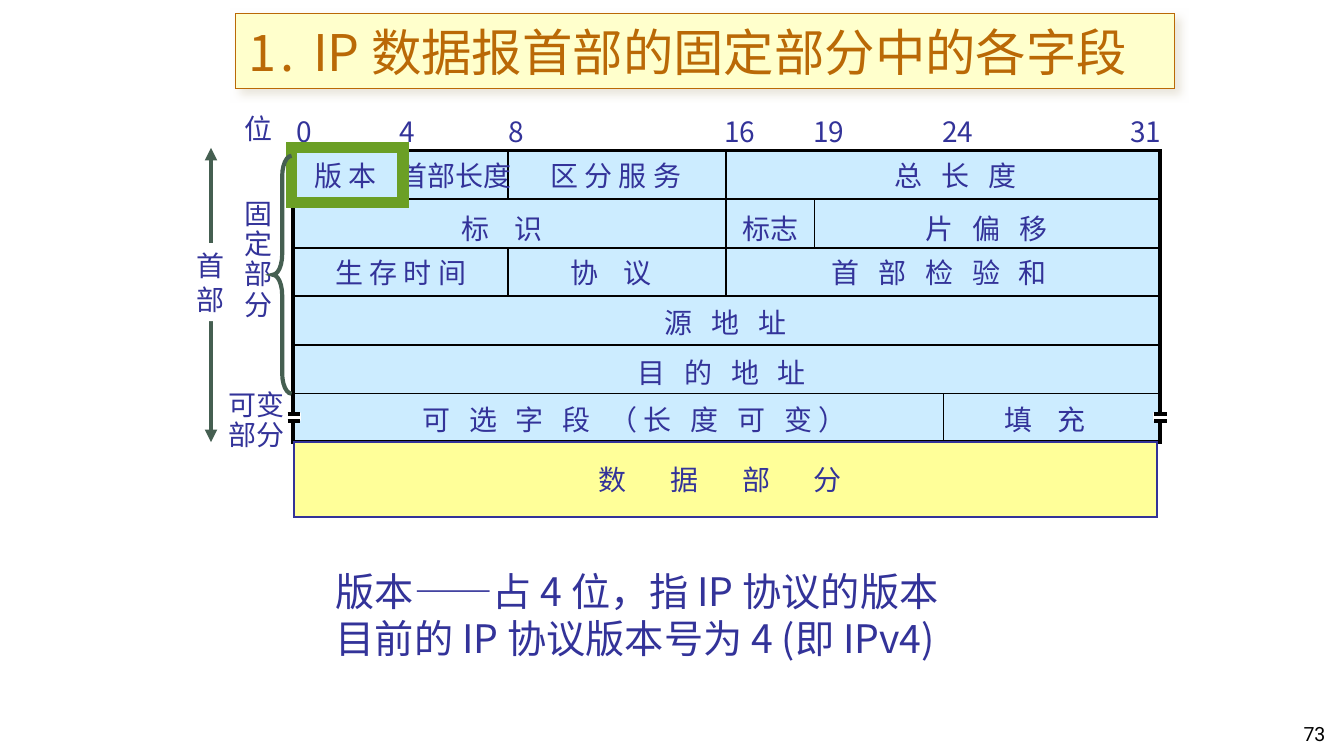
from pptx import Presentation
from pptx.dml.color import RGBColor
from pptx.enum.shapes import MSO_CONNECTOR as Link, MSO_SHAPE as Shape
from pptx.enum.text import MSO_ANCHOR as Anchor, PP_ALIGN as Align
from pptx.oxml import parse_xml
from pptx.oxml.ns import nsdecls, qn
from pptx.oxml.xmlchemy import OxmlElement
from pptx.util import Inches, Pt

COLORS = {"ink": "333399", "black": "000000", "white": "FFFFFF", "header": "CCECFF",
          "data": "FFFF99", "title": "FFFFCC", "brown": "BA6906", "green": "6B9F25",
          "slate": "455F51", "shade": "E3DED1"}
CJK = "Noto Sans CJK SC"
PAD = (0.07, 0.04)
CHAR, SPACE, LINE = 0.21, 0.066, 0.33
EDGES = {0: 2.18, 4: 2.97, 8: 3.78, 16: 5.4, 19: 6.06, 24: 7.02, 32: 8.63}
FIELDS = [("版 本", 0, 0, 4, 1, 0.01), ("首部长度", 0, 4, 8, 1, 0.02),
          ("区 分 服 务", 0, 8, 16, 1, 0.03), ("总 长 度", 0, 16, 32, 3, 0.16),
          ("标 识", 1, 0, 16, 4, -0.01), ("标志", 1, 16, 19, 1, 0.01),
          ("片 偏 移", 1, 19, 32, 3, 0.06), ("生 存 时 间", 2, 0, 8, 1, 0.04),
          ("协 议", 2, 8, 16, 4, 0), ("首 部 检 验 和", 2, 16, 32, 3, 0.1),
          ("源 地 址", 3, 0, 32, 3, 0.06), ("目 的 地 址", 4, 0, 32, 3, 0.06),
          ("可 选 字 段 （长 度 可 变）", 5, 0, 24, 3, 0.29), ("填 充", 5, 24, 32, 4, 0)]
DROPS = [0.02, 0.05, 0.02, 0.03, 0.04, 0.03]
DIVIDERS = [(4, 0, 1), (8, 0, 1), (8, 2, 3), (16, 0, 3), (19, 1, 2), (24, 5, 6)]


def color(name):
    return RGBColor.from_string(COLORS[name])


def add_box(page, box, fill=None, line=None, weight=1, kind=Shape.RECTANGLE):
    shape = page.shapes.add_shape(kind, *map(Inches, box))
    shape.shadow.inherit = False
    paint(shape, fill, line, weight)
    return shape


def paint(shape, fill, line, weight):
    for part, name in ((shape.fill, fill), (shape.line.fill, line)):
        if name:
            part.solid()
            part.fore_color.rgb = color(name)
        else:
            part.background()
    if line:
        shape.line.width = Pt(weight)
        miter = OxmlElement("a:miter")
        miter.set("lim", "800000")
        shape._element.spPr.find(qn("a:ln")).append(miter)


def add_line(page, start, end, ink="black", weight=1):
    line = page.shapes.add_connector(Link.STRAIGHT, *map(Inches, (*start, *end)))
    line.line.color.rgb = color(ink)
    line.line.width = Pt(weight)
    line._element.spPr.append(OxmlElement("a:effectLst"))
    return line


def write(frame, lines, size=15, ink="ink", pad=PAD, spacing=None, tracking=0,
          face=CJK, align=Align.LEFT, anchor=Anchor.TOP):
    frame.word_wrap = True
    frame.vertical_anchor = anchor
    frame.margin_left = frame.margin_right = Inches(pad[0])
    frame.margin_top = frame.margin_bottom = Inches(pad[1])
    for index, line in enumerate(lines):
        para = frame.add_paragraph() if index else frame.paragraphs[0]
        para.alignment = align
        if spacing:
            para.line_spacing = spacing
        for part in [line] if isinstance(line, str) else line:
            para.add_run().text = part
        para.font.size = Pt(size)
        para.font.name = face
        para.font.color.rgb = color(ink)
        props = para._p.pPr.find(qn("a:defRPr"))
        east = OxmlElement("a:ea")
        east.set("typeface", face)
        props.find(qn("a:latin")).addnext(east)
        if tracking:
            for span in para.runs:
                span._r.get_or_add_rPr().set("spc", str(tracking))


def add_label(page, box, lines, **style):
    text_box = page.shapes.add_textbox(*map(Inches, box))
    write(text_box.text_frame, lines, **style)
    return text_box


def add_spaced(page, center, top, text, gap=1):
    spaces = text.count(" ")
    width = 0.15 + CHAR * (len(text) - spaces) + SPACE * spaces * gap
    add_label(page, (center - width / 2, top, width, LINE), [text], tracking=168 * (gap - 1))


def add_title(page, box):
    title = page.shapes.title
    title.left, title.top, title.width, title.height = map(Inches, box)
    paint(title, "title", "brown", 0.75)
    title._element.spPr.append(parse_xml(
        f'<a:effectLst {nsdecls("a")}><a:outerShdw blurRad="{Pt(5)}" dist="{Pt(3)}" dir="2700000">'
        f'<a:srgbClr val="{COLORS["shade"]}"><a:alpha val="75000"/></a:srgbClr>'
        '</a:outerShdw></a:effectLst>'))
    write(title.text_frame, [["1. ", "IP 数据报首部的固定部分中的各字段"]], 27, "brown",
          (0.1, 0.05), anchor=Anchor.MIDDLE)
    title.text_frame.paragraphs[0].runs[0]._r.get_or_add_rPr().set("spc", "200")


def add_header(page, box):
    left, top, width, height = box
    row_height = height / 6
    frame = add_box(page, box, "header", "black", 2)
    for row in range(1, 6):
        y = top + row * row_height
        rule = add_line(page, (left, y), (left + width, y))
        if row == 3:
            rule.begin_connect(frame, 1)
            rule.end_connect(frame, 3)
    for bit, first, last in DIVIDERS:
        add_line(page, (EDGES[bit], top + first * row_height),
                 (EDGES[bit], top + last * row_height))
    for bit, x in EDGES.items():
        name = str(min(bit, 31))
        shift = {0: 0.09, 32: -0.09}.get(bit, 0.07 if bit < 10 else 0.12)
        label_width = 0.14 + 0.13 * len(name)
        add_label(page, (x + shift - label_width / 2, top - 0.31, label_width, LINE), [name])
    for text, row, first, last, gap, shift in FIELDS:
        add_spaced(page, (EDGES[first] + EDGES[last]) / 2 + shift,
                   top + row * row_height + DROPS[row], text, gap)
    for x in (left, left + width):
        add_break(page, (x - 0.05, top + 1.95, 0.11, 0.06))


def add_break(page, box):
    left, top, width, height = box
    add_box(page, box, "white")
    for y in (top + 0.01, top + height):
        add_line(page, (left + 0.01, y), (left + width - 0.01, y), weight=2)


def add_data(page, box):
    left, top, width, height = box
    add_box(page, box, "data", "ink")
    add_spaced(page, left + width / 2 + 0.17, top + 0.11, "数 据 部 分", 7)


def add_side(page, box):
    left, top, width, height = box
    middle = left + 0.18
    arrow = add_line(page, (middle, top), (middle, top + height), "slate", 2.25)
    for end in ("headEnd", "tailEnd"):
        tip = OxmlElement(f"a:{end}")
        tip.set("type", "triangle")
        arrow._element.spPr.find(qn("a:ln")).append(tip)
    sign = add_box(page, (left, top + 0.71, 0.36, 0.58), "white")
    write(sign.text_frame, "首部")
    add_label(page, (left + 0.36, top - 0.31, 0.36, LINE), ["位"])
    add_label(page, (left + 0.36, top + 0.35, 0.36, 0.98), "固定部分", spacing=0.9)
    add_label(page, (left + 0.24, top + 1.77, 0.57, 0.53), ["可变", "部分"], spacing=0.9)
    brace = add_box(page, (left + 0.64, top + 0.06, 0.14, 1.77), None, "slate", 2.25,
                    Shape.LEFT_BRACE)
    brace.adjustments[0] = 1.08
    brace.adjustments[1] = 0.5


def add_note(page, box):
    note = add_label(page, box, [["版本", "——", "占 4 位，指 IP 协议的版本"],
                                 "目前的 IP 协议版本号为 4 (即 IPv4)"], size=21, pad=(0.1, 0.05))
    note.text_frame.paragraphs[0].runs[1].font.name = "Arial"


def main():
    deck = Presentation()
    deck.slide_width, deck.slide_height = Inches(10), Inches(10 * 9 / 16)
    page = deck.slides.add_slide(deck.slide_layouts[5])
    add_title(page, (1.75, 0.1, 6.99, 0.56))
    add_header(page, (2.18, 1.12, 6.45, 2.17))
    add_data(page, (2.19, 3.29, 6.42, 0.56))
    add_note(page, (2.4, 4.17, 4.82, 0.81))
    add_box(page, (2.17, 1.1, 0.83, 0.41), None, "green", 6)
    add_side(page, (1.39, 1.1, 0.78, 2.19))
    add_label(page, (9.38, 5.32, 0.58, 0.3), ["73"], size=10.5, ink="black",
              pad=(0.1, 0.05), face="Roboto", align=Align.RIGHT)
    deck.save("out.pptx")


if __name__ == "__main__":
    main()
